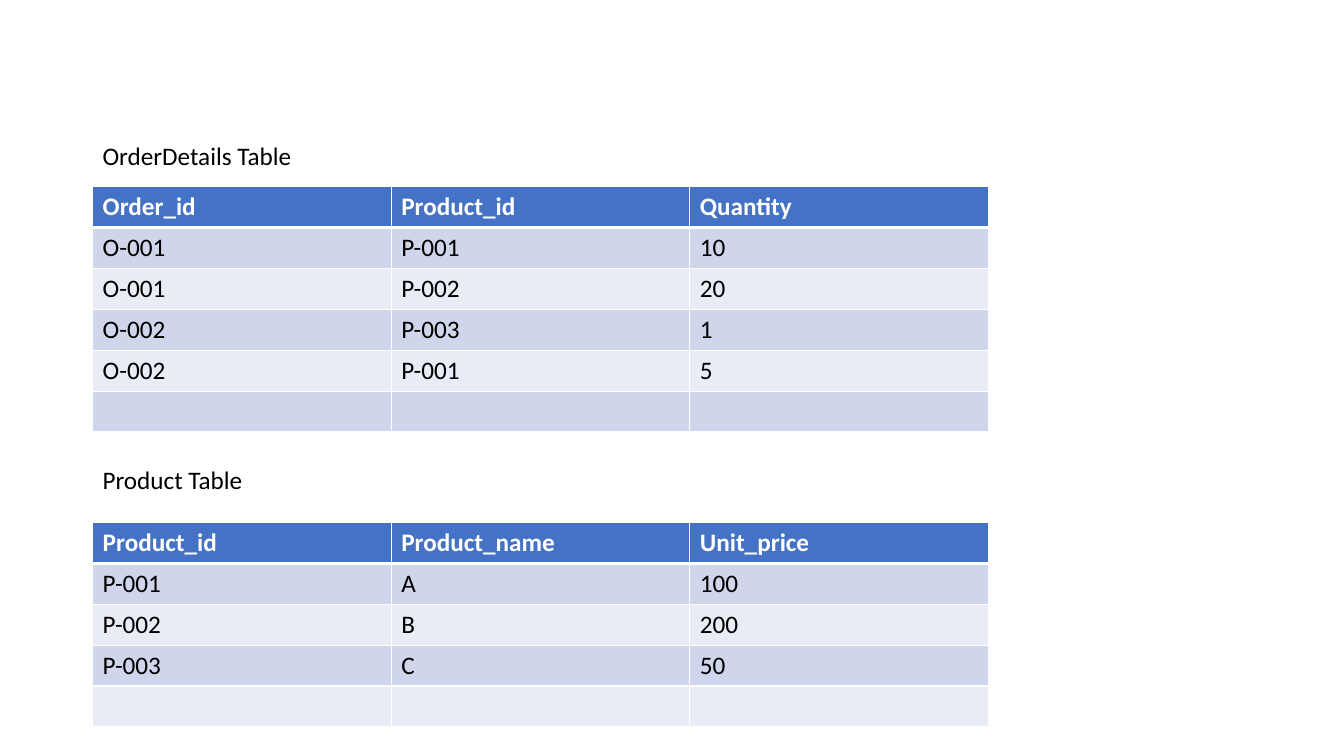
from lxml import etree
from pptx import Presentation
from pptx.dml.color import RGBColor
from pptx.enum.text import MSO_AUTO_SIZE
from pptx.oxml.ns import qn
from pptx.util import Pt

FIT_SHAPE = MSO_AUTO_SIZE.SHAPE_TO_FIT_TEXT

COLORS = {
    "header": "4472C4",
    "odd_row": "CFD5EA",
    "even_row": "E9EBF5",
    "border": "FFFFFF",
    "header_text": "FFFFFF",
    "text": "000000",
}
FONT = "Calibri"
FONT_SIZE = 18

# Each table ends with one empty row.
TABLES = [
    {
        "caption": "OrderDetails Table",
        "caption_top": 96.6,
        "top": 133.4,
        "rows": [
            ("Order_id", "Product_id", "Quantity"),
            ("O-001", "P-001", "10"),
            ("O-001", "P-002", "20"),
            ("O-002", "P-003", "1"),
            ("O-002", "P-001", "5"),
            ("", "", ""),
        ],
    },
    {
        "caption": "Product Table",
        "caption_top": 328.4,
        "top": 373.2,
        "rows": [
            ("Product_id", "Product_name", "Unit_price"),
            ("P-001", "A", "100"),
            ("P-002", "B", "200"),
            ("P-003", "C", "50"),
            ("", "", ""),
        ],
    },
]

LEFT = 66.2
COLUMN_WIDTH = 213.3
ROW_HEIGHT = 29.2
CAPTION_WIDTH, CAPTION_HEIGHT = 247, 29.1
THIN, THICK = 1, 3


def write_text(frame, text, color="text", bold=False):
    """Put formatted text into a text frame; empty text keeps the font size."""
    paragraph = frame.paragraphs[0]
    paragraph.font.size = Pt(FONT_SIZE)
    if not text:
        return
    run = paragraph.add_run()
    run.text = text
    run.font.name = FONT
    run.font.size = Pt(FONT_SIZE)
    run.font.bold = bold
    run.font.color.rgb = RGBColor.from_string(COLORS[color])


def set_borders(cell, top, bottom):
    """Draw the four cell borders, with widths given for top and bottom."""
    properties = cell._tc.get_or_add_tcPr()
    widths = {"lnL": THIN, "lnR": THIN, "lnT": top, "lnB": bottom}
    for position, (side, width) in enumerate(widths.items()):
        line = etree.Element(qn(f"a:{side}"), w=str(Pt(width)))
        fill = etree.SubElement(line, qn("a:solidFill"))
        etree.SubElement(fill, qn("a:srgbClr"), val=COLORS["border"])
        properties.insert(position, line)


def add_caption(slide, text, top):
    """Add the caption above a table."""
    shape = slide.shapes.add_textbox(
        Pt(LEFT), Pt(top), Pt(CAPTION_WIDTH), Pt(CAPTION_HEIGHT))
    shape.text_frame.word_wrap = True
    shape.text_frame.auto_size = FIT_SHAPE
    write_text(shape.text_frame, text)


def add_data_table(slide, rows, top):
    """Add a table with a header row and banded body rows."""
    column_count = len(rows[0])
    table = slide.shapes.add_table(
        len(rows), column_count, Pt(LEFT), Pt(top),
        Pt(COLUMN_WIDTH * column_count), Pt(ROW_HEIGHT * len(rows))).table
    for column in table.columns:
        column.width = Pt(COLUMN_WIDTH)
    for row_index, values in enumerate(rows):
        table.rows[row_index].height = Pt(ROW_HEIGHT)
        is_header = row_index == 0
        band = "header" if is_header else "odd_row" if row_index % 2 else "even_row"
        for column_index, value in enumerate(values):
            cell = table.cell(row_index, column_index)
            cell.fill.solid()
            cell.fill.fore_color.rgb = RGBColor.from_string(COLORS[band])
            set_borders(cell, top=THICK if row_index == 1 else THIN,
                        bottom=THICK if is_header else THIN)
            write_text(cell.text_frame, value, bold=is_header,
                       color="header_text" if is_header else "text")


presentation = Presentation()
presentation.slide_width = Pt(960)
presentation.slide_height = Pt(540)
slide = presentation.slides.add_slide(presentation.slide_layouts[6])

for entry in TABLES:
    add_data_table(slide, entry["rows"], entry["top"])
    add_caption(slide, entry["caption"], entry["caption_top"])

presentation.save("out.pptx")
